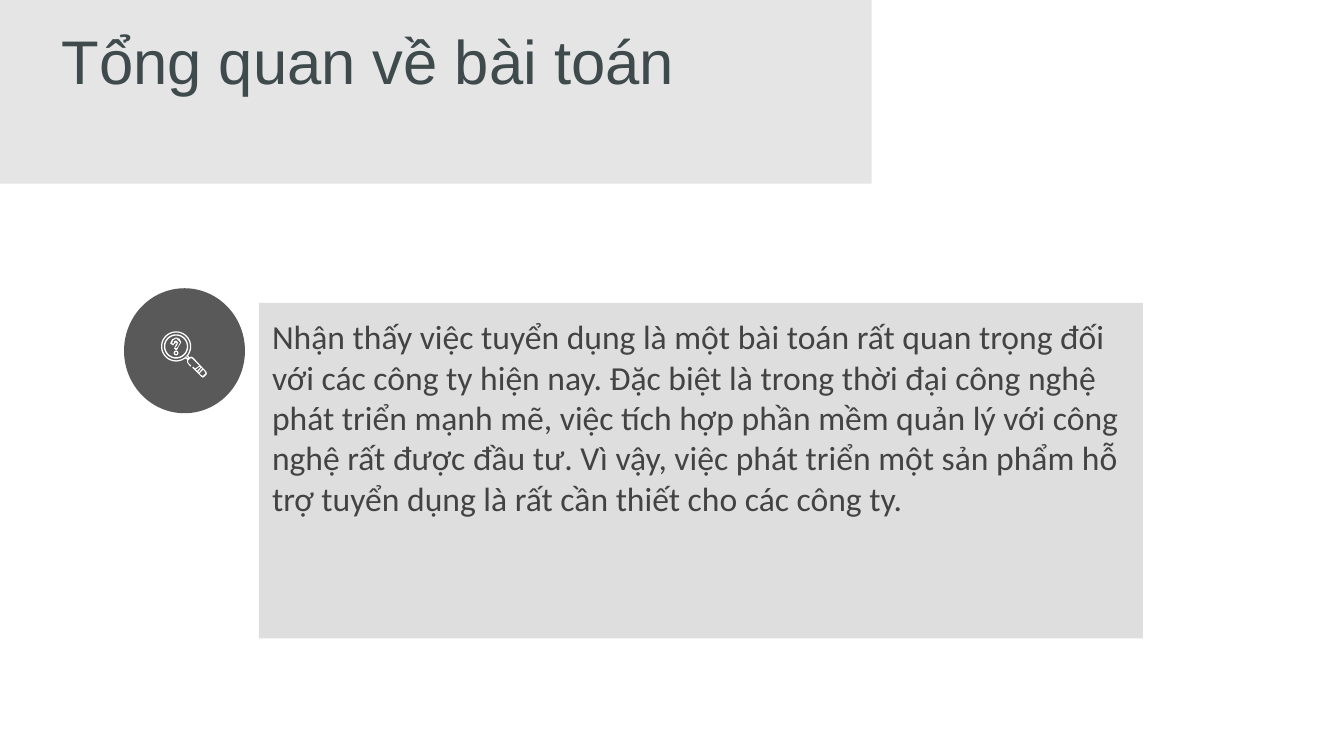
from math import cos, pi, sin

from lxml import etree
from pptx import Presentation
from pptx.dml.color import RGBColor
from pptx.enum.shapes import MSO_SHAPE
from pptx.enum.text import MSO_ANCHOR, MSO_AUTO_SIZE, PP_ALIGN
from pptx.oxml.ns import qn
from pptx.util import Pt

BAND_GRAY = RGBColor(0xD9, 0xD9, 0xD9)
PANEL_GRAY = RGBColor(0xDE, 0xDE, 0xDE)
BADGE_GRAY = RGBColor(0x59, 0x59, 0x59)
TITLE_COLOR = RGBColor(0x3E, 0x4A, 0x4C)
BODY_COLOR = RGBColor(0x43, 0x43, 0x43)
WHITE = RGBColor(0xFF, 0xFF, 0xFF)

TITLE = "Tổng quan về bài toán"
BODY = (
    "Nhận thấy việc tuyển dụng là một bài toán rất quan trọng đối với các công ty "
    "hiện nay. Đặc biệt là trong thời đại công nghệ phát triển mạnh mẽ, việc tích hợp "
    "phần mềm quản lý với công nghệ rất được đầu tư. Vì vậy, việc phát triển một sản "
    "phẩm hỗ trợ tuyển dụng là rất cần thiết cho các công ty."
)
TITLE_FONT = {"name": "Arial", "size": Pt(44)}
BODY_FONT = {"name": "Calibri", "size": Pt(24)}

# Icon contours, in points from the centre of the lens; inner contours are holes
QUESTION_HOOK = [
    [(0, -6.5), (-2.9, -5), (-4.3, -2.2), (-2.2, -0.7), (-0.7, -2.2), (0, -2.9),
     (0.7, -2.2), (0, -1.8), (-1.4, 1.4), (0, 2.9), (1.4, 1.4), (1.4, 0.7),
     (3.6, -2.9), (2.6, -5.4)],
    [(0, -5.8), (2.9, -2.9), (1.4, 0), (0.7, 0.7), (0, 1.4), (-0.7, 0.7),
     (0.7, -0.7), (1.4, -2.9), (0, -4.3), (-1.4, -3.6), (-1.6, -2.2), (-2.2, -2),
     (-2.9, -2.2), (-2.2, -4.3)],
]
HANDLE = [
    [(6.5, 8.6), (7.9, 9.4), (7.9, 11.5), (10.1, 14.4), (10.8, 13.7), (8.6, 11.5),
     (8.6, 10.1), (10.1, 8.6), (11.5, 8.6), (16.6, 13.7), (13.7, 15.8), (12.2, 14.4),
     (11.5, 15.1), (18, 21.6), (19.1, 22.3), (20.2, 21.6), (21.6, 20.2), (22, 19.1),
     (21.6, 18), (12.2, 7.9), (10.8, 7.2), (9.4, 7.9), (8.6, 6.5), (7.2, 7.2)],
    [(7.9, 7.2), (8.6, 8.6), (7.2, 7.9)],
    [(16.6, 14.4), (17.3, 15.1), (15.1, 17.3), (14, 16.6)],
    [(18, 15.1), (18.7, 15.8), (16.2, 18.7), (15.8, 18)],
    [(19.4, 16.6), (20.9, 18.7), (20.9, 19.4), (19.4, 20.9), (18.7, 20.9), (16.6, 19.4)],
]


def paint(sp, color):
    sp.shadow.inherit = False
    sp.fill.solid()
    sp.fill.fore_color.rgb = color
    sp.line.fill.background()


def add_filled(slide, kind, box, color):
    sp = slide.shapes.add_shape(kind, *map(Pt, box))
    paint(sp, color)
    return sp


def fill_text(sp, box, text, font, color):
    sp.left, sp.top, sp.width, sp.height = map(Pt, box)
    tf = sp.text_frame
    tf.word_wrap = True
    tf.auto_size = MSO_AUTO_SIZE.NONE
    tf.vertical_anchor = MSO_ANCHOR.TOP
    p = tf.paragraphs[0]
    p.alignment = PP_ALIGN.LEFT
    p.space_before = Pt(0)
    r = p.add_run()
    r.text = text
    for key, value in font.items():
        setattr(r.font, key, value)
    r.font.color.rgb = color
    return tf


def add_header(slide, box):
    x, y, w, h = box
    # Translucent band behind the title
    band = add_filled(slide, MSO_SHAPE.RECTANGLE, box, BAND_GRAY)
    rgb = next(band.fill._xPr.iter(qn("a:srgbClr")))
    etree.SubElement(rgb, qn("a:alpha"), val="66000")
    title = slide.shapes.title
    title._element.addprevious(band._element)
    fill_text(title, (x + 36.7, y + 13, w - 36.7, 60.5), TITLE, TITLE_FONT, TITLE_COLOR)


def add_panel(slide, box):
    sp = slide.placeholders[1]
    sp.fill.solid()
    sp.fill.fore_color.rgb = PANEL_GRAY
    tf = fill_text(sp, box, BODY, BODY_FONT, BODY_COLOR)
    for side in ("left", "top", "right", "bottom"):
        setattr(tf, f"margin_{side}", Pt(9.4))
    # Plain paragraph: no bullet, no indent
    pPr = tf.paragraphs[0]._p.get_or_add_pPr()
    pPr.set("marL", "0")
    pPr.set("indent", "0")
    etree.SubElement(pPr, qn("a:buNone"))


def ring(outer, inner, dy=0, steps=48):
    angles = [2 * pi * i / steps for i in range(steps)]
    return [[(r * cos(a), dy + r * sin(a)) for a in angles] for r in (outer, inner)]


def add_search_badge(slide, box):
    x, y, w, h = box
    add_filled(slide, MSO_SHAPE.OVAL, box, BADGE_GRAY)
    cx, cy = x + 37.2, y + 41.6

    # Inner lens ring, outer ring with handle, question mark, its dot
    parts = (
        ring(8.7, 7.7),
        ring(10.8, 9.9) + HANDLE,
        QUESTION_HOOK,
        ring(1.7, 0.8, 4.7),
    )
    for contours in parts:
        placed = [[(Pt(cx + dx), Pt(cy + dy)) for dx, dy in c] for c in contours]
        builder = slide.shapes.build_freeform(*placed[0][0])
        builder.add_line_segments(placed[0][1:])
        for corners in placed[1:]:
            builder.move_to(*corners[0])
            builder.add_line_segments(corners[1:])
        paint(builder.convert_to_shape(), WHITE)


def main():
    prs = Presentation()
    prs.slide_width, prs.slide_height = Pt(960), Pt(540)
    slide = prs.slides.add_slide(prs.slide_layouts[1])
    add_header(slide, (0, 0, 622.6, 131.2))
    add_panel(slide, (184.9, 216.4, 631.4, 239.7))
    add_search_badge(slide, (88.6, 205.9, 86.4, 89.3))
    prs.save("out.pptx")


if __name__ == "__main__":
    main()
